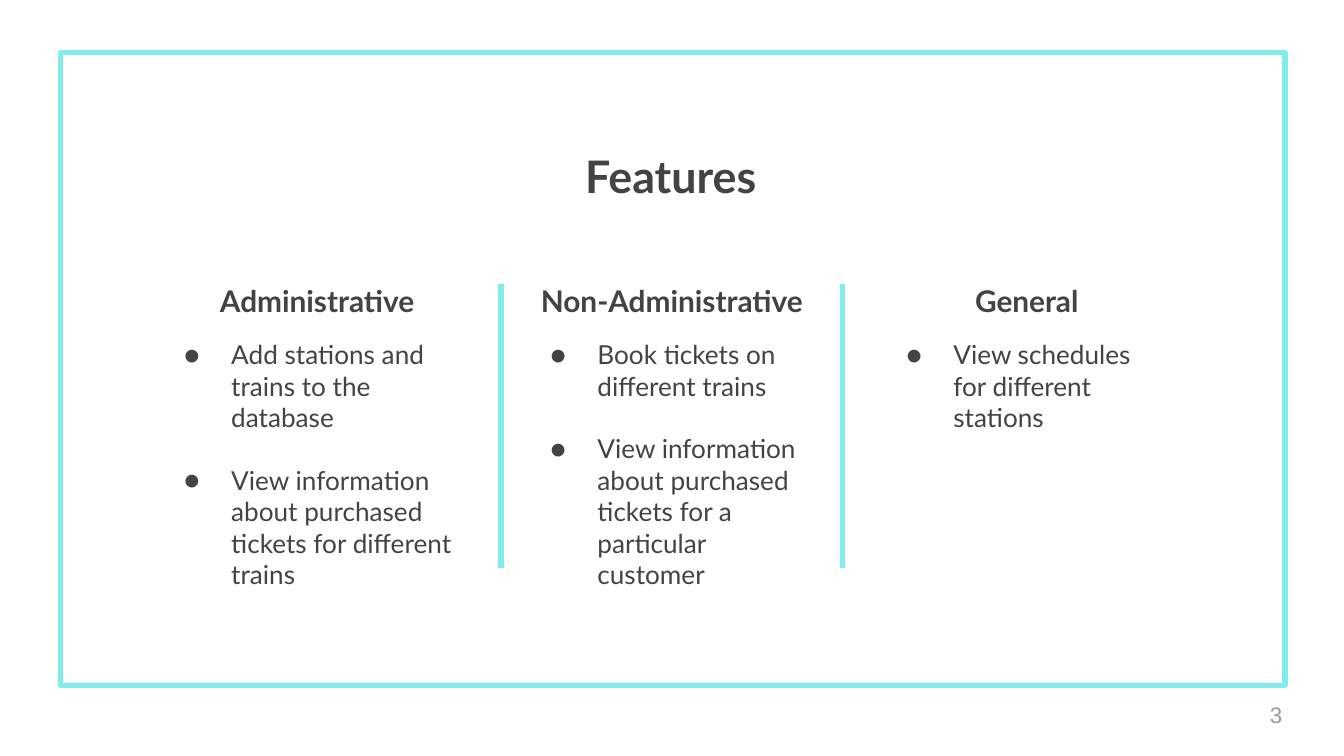
from lxml import etree
from pptx import Presentation
from pptx import util as u
from pptx.dml.color import RGBColor
from pptx.enum import shapes, text
from pptx.oxml import ns

WIDTH = 10
HEIGHT = WIDTH * 9 / 16
PITCH, COLUMN_WIDTH = 2.64, 2.31
HEADING_TOP, HEADING_HEIGHT = 1.76, 0.71
LIST_TOP = 2.42
ACCENT, INK, GREY = "81ECEC", "434343", "999999"

columns = [
    ("Administrative", 2.48, 1.97, [
        "Add stations and trains to the database",
        "View information about purchased tickets for different trains",
    ]),
    ("Non-Administrative", COLUMN_WIDTH, 1.97, [
        "Book tickets on different trains",
        "View information about purchased tickets for a particular customer",
    ]),
    ("General", 2.29, 1.7, ["View schedules for different stations"]),
]


def color(value):
    return RGBColor.from_string(value)


def write(shape, box, lines, size, bold=False, ink=INK, font="Lato",
          align=text.PP_ALIGN.CENTER, anchor=text.MSO_ANCHOR.TOP):
    shape.left, shape.top, shape.width, shape.height = [u.Inches(n) for n in box]
    frame = shape.text_frame
    frame.word_wrap = True
    frame.auto_size = text.MSO_AUTO_SIZE.NONE
    frame.vertical_anchor = anchor
    frame.margin_left = frame.margin_right = u.Inches(0.1)
    frame.margin_top = frame.margin_bottom = u.Inches(0.1)
    for index, line in enumerate(lines):
        paragraph = frame.add_paragraph() if index else frame.paragraphs[0]
        paragraph.alignment = align
        paragraph.space_before = u.Pt(size * 1.2 if index else 0)
        run = paragraph.add_run()
        run.text = line
        run.font.name, run.font.size, run.font.bold = font, u.Pt(size), bold
        run.font.color.rgb = color(ink)
    return frame.paragraphs


presentation = Presentation()
presentation.slide_width = u.Inches(WIDTH)
presentation.slide_height = u.Inches(HEIGHT)
slide = presentation.slides.add_slide(presentation.slide_layouts.get_by_name("Comparison"))
placeholders = list(slide.placeholders)

border = slide.shapes.add_shape(
    shapes.MSO_SHAPE.RECTANGLE, u.Inches(0.45), u.Inches(0.39), u.Inches(9.11), u.Inches(4.71))
border.shadow.inherit = False
border.fill.background()
border.line.color.rgb = color(ACCENT)
border.line.width = u.Pt(3)
etree.SubElement(border.line._get_or_add_ln(), ns.qn("a:round"))

write(placeholders.pop(0), (-0.01, 1.01, WIDTH, 0.53), ["Features"], 24, bold=True)

for side in (-1, 1):
    x = u.Inches(WIDTH / 2 + side * 1.27)
    divider = slide.shapes.add_connector(
        shapes.MSO_CONNECTOR.STRAIGHT, x, u.Inches(2.11), x, u.Inches(4.23))
    divider.line.color.rgb = color(ACCENT)
    divider.line.width = u.Pt(3)
    etree.SubElement(divider._element.spPr, ns.qn("a:effectLst"))

for index, (heading, list_width, list_height, items) in enumerate(columns):
    center = WIDTH / 2 + (index - 1) * PITCH
    pair = placeholders[index * 2:index * 2 + 2]
    if not pair:
        pair = [slide.shapes.add_textbox(0, 0, 0, 0) for part in range(2)]
    write(pair[0], (center - COLUMN_WIDTH / 2, HEADING_TOP, COLUMN_WIDTH, HEADING_HEIGHT),
          [heading], 16, bold=True, anchor=text.MSO_ANCHOR.BOTTOM)
    paragraphs = write(pair[1], (center - list_width / 2, LIST_TOP, list_width, list_height),
                       items, 14, align=text.PP_ALIGN.LEFT)
    for paragraph in paragraphs:
        properties = paragraph._p.get_or_add_pPr()
        properties.set("marL", str(u.Inches(0.5)))
        properties.set("indent", str(u.Inches(-0.35)))
        bullet_color = etree.SubElement(properties, ns.qn("a:buClr"))
        etree.SubElement(bullet_color, ns.qn("a:srgbClr"), val=INK)
        etree.SubElement(properties, ns.qn("a:buFont"), typeface="Lato")
        etree.SubElement(properties, ns.qn("a:buChar"), char="●")

write(slide.shapes.add_textbox(0, 0, 0, 0), (9.35, 5.1, 0.6, 0.43), ["3"], 12, ink=GREY,
      font="Arial", align=text.PP_ALIGN.LEFT, anchor=text.MSO_ANCHOR.MIDDLE)

presentation.save("out.pptx")
